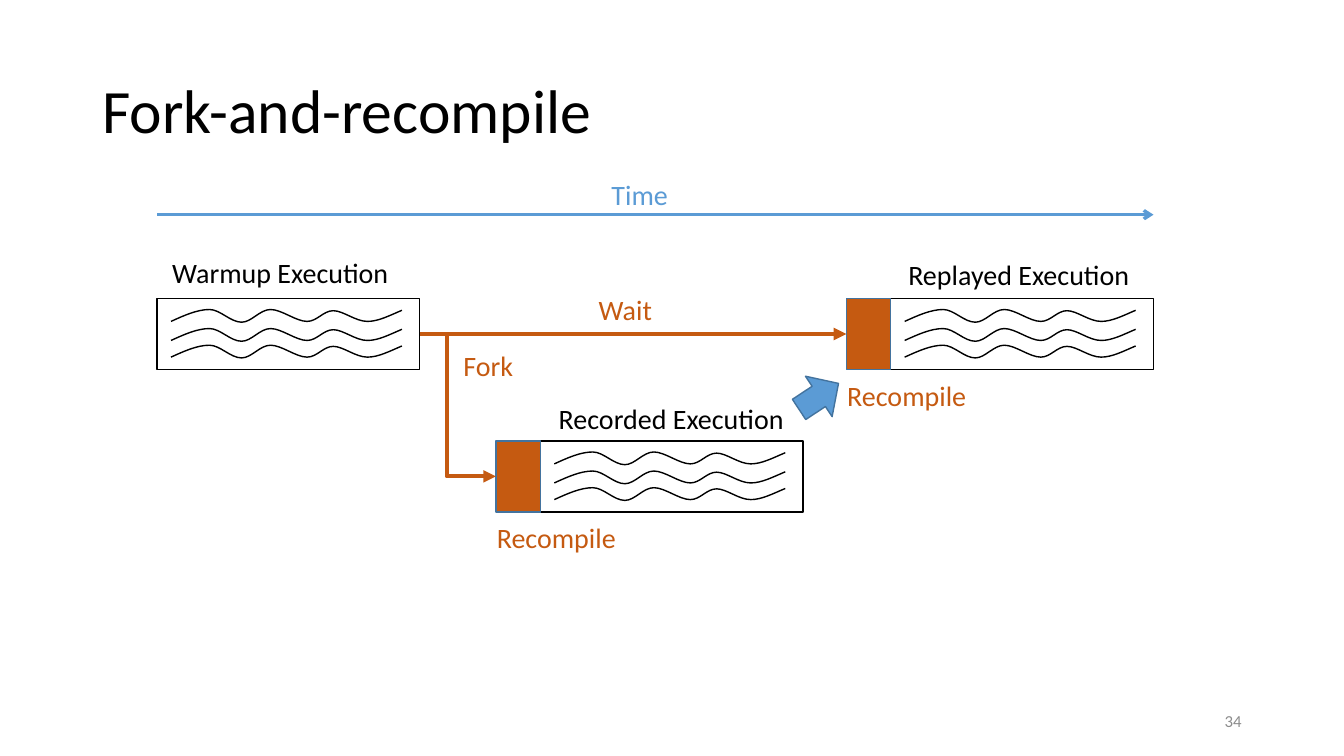
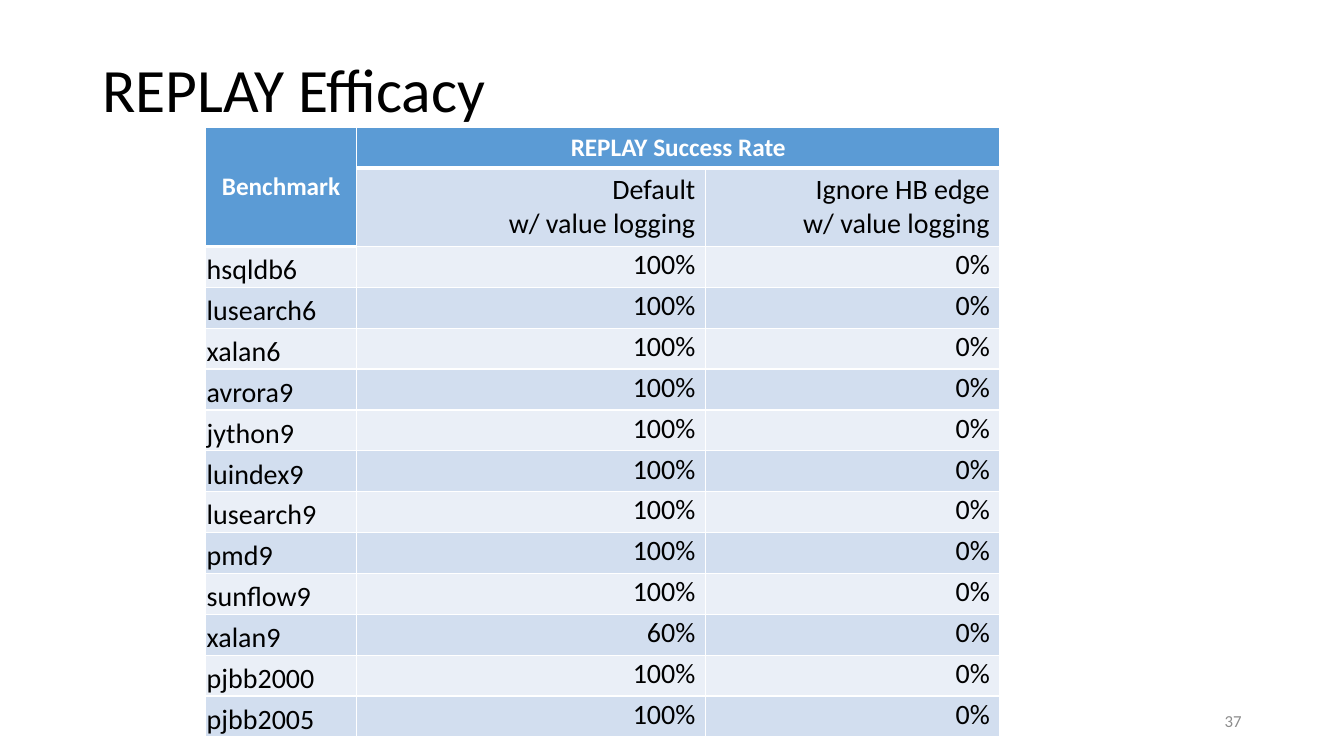
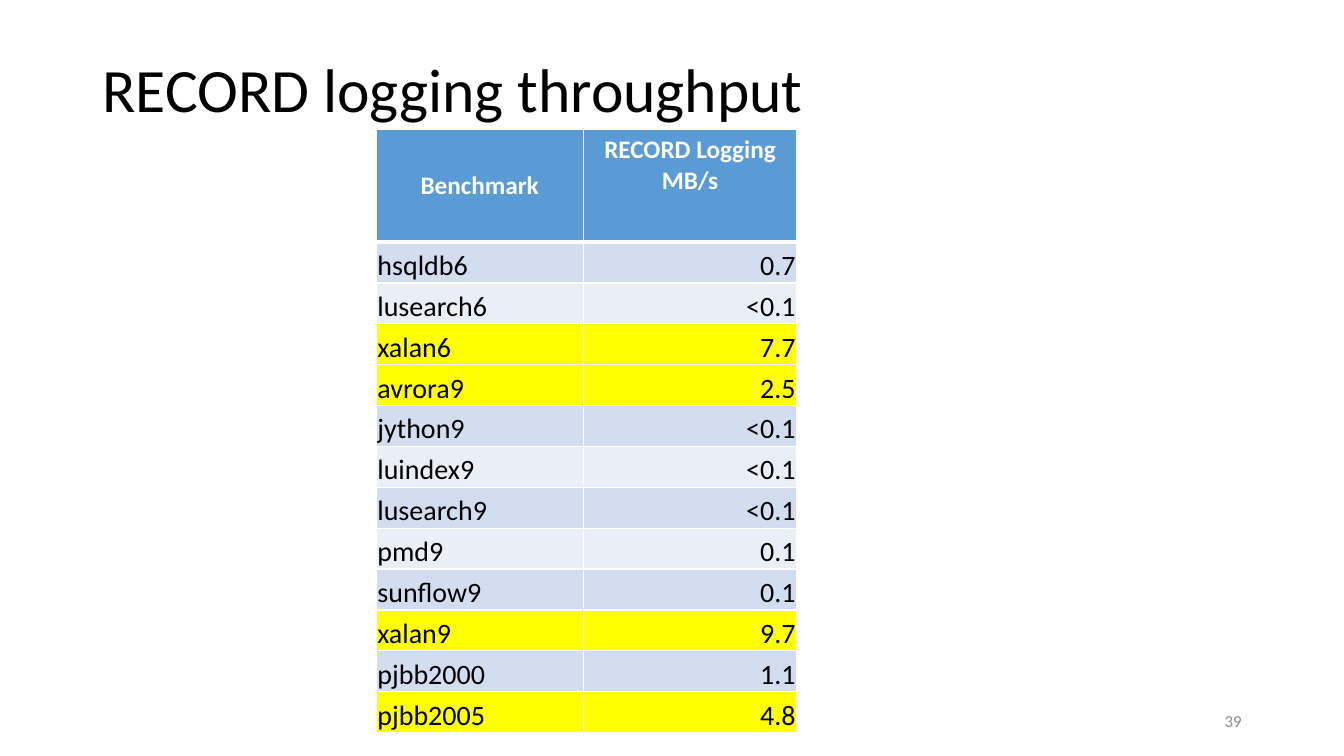
"""Build three slides on record and replay: a fork diagram and two result tables."""
from dataclasses import dataclass
from typing import Optional

from lxml import etree
from pptx import Presentation, util as u
from pptx.dml.color import RGBColor
from pptx.enum import shapes as s, text as t
from pptx.oxml import parse_xml
from pptx.oxml.ns import nsdecls, qn

FONT = "Calibri"
HUES = {
    "ink": "000000", "white": "FFFFFF", "gray": "8C8C8C", "blue": "5B9BD5",
    "edge": "43739E", "rust": "C55A11", "odd": "D2DEEF", "even": "EAEFF7",
    "mark": "FFFF00",
}
LEFT, MID, RIGHT = t.PP_ALIGN.LEFT, t.PP_ALIGN.CENTER, t.PP_ALIGN.RIGHT
TOP, CORE, BASE = t.MSO_ANCHOR.TOP, t.MSO_ANCHOR.MIDDLE, t.MSO_ANCHOR.BOTTOM
WIDE, HIGH, STRIP = 6.62, 1.79, 1.12
ROW = 1.03
TIGHT = 0.03
WAVE = (
    (0, 0.3), (0.33, 0.15), (0.66, 0), (0.97, 0),
    (1.24, 0), (1.5, 0.32), (1.78, 0.32),
    (2.03, 0.32), (2.24, 0), (2.51, 0),
    (2.79, 0), (3.15, 0.3), (3.43, 0.3),
    (3.68, 0.3), (3.84, 0.03), (4.09, 0.03),
    (4.34, 0.03), (4.65, 0.3), (4.95, 0.3),
    (5.23, 0.3), (5.51, 0.15), (5.82, 0.02),
)
NAMES = ("hsqldb6", "lusearch6", "xalan6", "avrora9", "jython9", "luindex9",
         "lusearch9", "pmd9", "sunflow9", "xalan9", "pjbb2000", "pjbb2005")
RATES = ("0.7", "<0.1", "7.7", "2.5", "<0.1", "<0.1",
         "<0.1", "0.1", "0.1", "9.7", "1.1", "4.8")
HEAVY = {"xalan6", "avrora9", "xalan9", "pjbb2005"}


@dataclass
class Look:
    """Text format."""
    size: float = 20
    hue: str = "ink"
    bold: bool = False
    align: t.PP_ALIGN = LEFT
    gap: Optional[object] = None


@dataclass
class Label:
    """Short text in the diagram."""
    words: str
    x: float
    y: float
    w: float
    hue: str = "ink"


@dataclass
class Run:
    """One execution box, with or without a recompile strip."""
    x: float
    y: float
    strip: bool = True


@dataclass
class Cell:
    """Table cell content and format."""
    words: str
    fill: str
    look: Look
    anchor: t.MSO_ANCHOR = TOP
    tight: bool = False
    rule: float = 1


HEAD = Look(18, "white", True, MID)
NAME = Look(gap=u.Pt(15))
VALUE = Look(align=RIGHT, gap=u.Pt(15))
RUNS = (Run(3.96, 7.52, False), Run(22.45, 7.52), Run(13.62, 11.11))
LABELS = (
    Label("Warmup Execution", 4.09, 6.31, 6.27),
    Label("Replayed Execution", 22.64, 6.37, 6.27),
    Label("Recorded Execution", 13.83, 10, 6.27),
    Label("Recompile", 21.1, 9.41, 3.65, "rust"),
    Label("Recompile", 12.27, 13, 3.65, "rust"),
    Label("Fork", 11.43, 8.66, 2.08, "rust"),
    Label("Wait", 14.84, 7.24, 4.09, "rust"),
    Label("Time", 15.16, 4.34, 2.24, "blue"),
)


def tint(name: str) -> RGBColor:
    """Return a colour of the palette."""
    return RGBColor.from_string(HUES[name])


def write(frame, words: str, look: Look) -> None:
    """Set and format the text of a frame."""
    frame.text = words
    for para in frame.paragraphs:
        para.alignment = look.align
        if look.gap is not None:
            para.line_spacing = look.gap
        for run in para.runs:
            font = run.font
            font.name, font.size, font.bold = FONT, u.Pt(look.size), look.bold
            font.color.rgb = tint(look.hue)


def note(slide, words: str, box: tuple, look: Look, anchor=TOP) -> None:
    """Add a text box."""
    frame = slide.shapes.add_textbox(*map(u.Cm, box)).text_frame
    frame.word_wrap = True
    frame.vertical_anchor = anchor
    write(frame, words, look)


def page(deck, title: str, num: int, top: float = 0.49):
    """Add a slide with its title and number."""
    slide = deck.slides.add_slide(deck.slide_layouts[6])
    note(slide, title, (2.33, top, 29.21, 3.68), Look(44, gap=0.9), CORE)
    note(slide, str(num), (23.92, 17.65, 7.62, 1.02),
         Look(12, "gray", align=RIGHT), CORE)
    return slide


def paint(shape, fill: Optional[str], line: str) -> None:
    """Set the fill and outline of a shape."""
    shape.shadow.inherit = False
    if fill:
        shape.fill.solid()
        shape.fill.fore_color.rgb = tint(fill)
    else:
        shape.fill.background()
    shape.line.color.rgb = tint(line)
    shape.line.width = u.Pt(1)


def block(slide, kind, box: tuple, fill: Optional[str], line: str):
    """Add a preset shape."""
    shape = slide.shapes.add_shape(kind, *map(u.Cm, box))
    paint(shape, fill, line)
    return shape


def wave(slide, x: float, y: float) -> None:
    """Draw one wave as a chain of cubic curves."""
    dots = [(u.Cm(x + a), u.Cm(y + b)) for a, b in WAVE]
    pen = slide.shapes.build_freeform(*dots[0])
    pen.add_line_segments(dots[1:], close=False)
    shape = pen.convert_to_shape()
    paint(shape, None, "ink")
    steps = list(shape._element.iter(qn("a:lnTo")))
    trace = steps[0].getparent()
    for i in range(0, len(steps), 3):
        curve = etree.SubElement(trace, qn("a:cubicBezTo"))
        for step in steps[i:i + 3]:
            curve.append(step[0])
            trace.remove(step)


def draw(slide, run: Run) -> tuple:
    """Draw an execution box and return the box and its strip."""
    for drop in (0.28, 0.76, 1.18):
        wave(slide, run.x + 0.35, run.y + drop)
    kind = s.MSO_SHAPE.RECTANGLE
    box = block(slide, kind, (run.x, run.y, WIDE, HIGH), None, "ink")
    strip = None
    if run.strip:
        strip = block(slide, kind, (run.x - STRIP, run.y, STRIP, HIGH), "rust", "edge")
    return box, strip


def link(slide, start: tuple, end: tuple, hue: str, width: float, tip: str,
         kind=s.MSO_CONNECTOR.STRAIGHT):
    """Add a connector with an arrowhead."""
    line = slide.shapes.add_connector(kind, *map(u.Cm, start + end))
    line.line.color.rgb = tint(hue)
    line.line.width = u.Pt(width)
    props = line._element.spPr
    props.find(qn("a:ln")).append(
        parse_xml(f'<a:tailEnd {nsdecls("a")} type="{tip}"/>'))
    props.append(parse_xml(f'<a:effectLst {nsdecls("a")}/>'))
    return line


def bend(slide, start: tuple, end: tuple) -> None:
    """Add an arrow that runs down and then right."""
    line = link(slide, start, end, "rust", 3, "triangle", s.MSO_CONNECTOR.ELBOW)
    wide, high = end[0] - start[0], end[1] - start[1]
    line.left = u.Cm((start[0] + end[0] - high) / 2)
    line.top = u.Cm((start[1] + end[1] - wide) / 2)
    line.width, line.height = u.Cm(high), u.Cm(wide)
    props = line._element.spPr
    props.find(qn("a:prstGeom")).set("prst", "bentConnector2")
    form = props.find(qn("a:xfrm"))
    form.set("rot", "16200000")
    form.set("flipH", "1")


def fork(deck) -> None:
    """Build the diagram slide."""
    slide = page(deck, "Fork-and-recompile", 34, 1.02)
    (warm, _), (_, play), _ = [draw(slide, run) for run in RUNS]
    first, last, rec = RUNS
    mid = first.y + HIGH / 2
    wait = link(slide, (first.x + WIDE, mid), (last.x - STRIP, mid),
                "rust", 3, "triangle")
    wait.begin_connect(warm, 3)
    wait.end_connect(play, 1)
    bend(slide, (11.26, mid), (rec.x - STRIP, rec.y + HIGH / 2))
    arrow = block(slide, s.MSO_SHAPE.RIGHT_ARROW, (20.04, 9.38, 1.19, 1.22),
                  "blue", "edge")
    arrow.rotation = 326.6
    link(slide, (first.x, 5.41), (last.x + WIDE, 5.41), "blue", 2.25, "arrow")
    for item in LABELS:
        note(slide, item.words, (item.x, item.y, item.w, 1.12), Look(hue=item.hue))


def edge(cell, sides: dict) -> None:
    """Set white borders, given as points by side."""
    props = cell._tc.get_or_add_tcPr()
    for side, width in sides.items():
        props.append(parse_xml(
            f'<a:ln{side} {nsdecls("a")} w="{u.Pt(width)}"><a:solidFill>'
            f'<a:srgbClr val="{HUES["white"]}"/></a:solidFill></a:ln{side}>'))


def grid(slide, x: float, y: float, cols: tuple, rows: list, tops: tuple):
    """Add a table from rows of cells, with the heights of its top rows."""
    highs = list(tops) + [ROW] * (len(rows) - len(tops))
    table = slide.shapes.add_table(
        len(rows), len(cols), *map(u.Cm, (x, y, sum(cols), sum(highs)))).table
    for col, wide in zip(table.columns, cols):
        col.width = u.Cm(wide)
    for r, (row, high) in enumerate(zip(rows, highs)):
        table.rows[r].height = u.Cm(high)
        for c, item in enumerate(row):
            cell = table.cell(r, c)
            sides = {"L": 1, "R": 1}
            if r == 0:
                sides["T"] = 1
            edge(cell, {**sides, "B": item.rule})
            cell.fill.solid()
            cell.fill.fore_color.rgb = tint(item.fill)
            cell.vertical_anchor = item.anchor
            if item.tight:
                cell.margin_left = cell.margin_right = cell.margin_top = u.Cm(TIGHT)
                cell.margin_bottom = 0
            write(cell.text_frame, item.words, item.look)
    return table


def head(words: str, anchor=TOP) -> Cell:
    """Return a header cell."""
    return Cell(words, "blue", HEAD, anchor, rule=3)


def band(row: int) -> str:
    """Return the fill of a body row."""
    return "odd" if row % 2 else "even"


def success(deck) -> None:
    """Build the success rate slide."""
    slide = page(deck, "REPLAY Efficacy", 37)
    right = Look(align=RIGHT)
    rows = [
        [head("Benchmark", CORE), head("REPLAY Success Rate"), head("")],
        [head("", CORE)] + [Cell(f"{kind}\nw/ value logging", band(1), right)
                            for kind in ("Default", "Ignore HB edge")],
    ]
    for r, name in enumerate(NAMES, 2):
        rate = "60%" if name == "xalan9" else "100%"
        rows.append([Cell(name, band(r), NAME, BASE, True)] + [
            Cell(val, band(r), VALUE, BASE) for val in (rate, "0%")])
    table = grid(slide, 5.18, 3.2, (3.81, 8.79, 7.42), rows, (ROW, 1.98))
    table.cell(0, 0).merge(table.cell(1, 0))
    table.cell(0, 1).merge(table.cell(0, 2))


def logging(deck) -> None:
    """Build the throughput slide."""
    slide = page(deck, "RECORD logging throughput", 39)
    rows = [[head("Benchmark", CORE), head("RECORD Logging\nMB/s")]]
    for r, (name, rate) in enumerate(zip(NAMES, RATES), 1):
        fill = "mark" if name in HEAVY else band(r)
        rows.append([Cell(name, fill, NAME, BASE, True),
                     Cell(rate, fill, VALUE, BASE, True)])
    grid(slide, 9.48, 3.26, (5.22, 5.38), rows, (2.84,))


def main() -> None:
    """Build and save the deck."""
    deck = Presentation()
    deck.slide_width, deck.slide_height = u.Cm(33.87), u.Cm(19.05)
    for build in (fork, success, logging):
        build(deck)
    deck.save("out.pptx")


if __name__ == "__main__":
    main()
